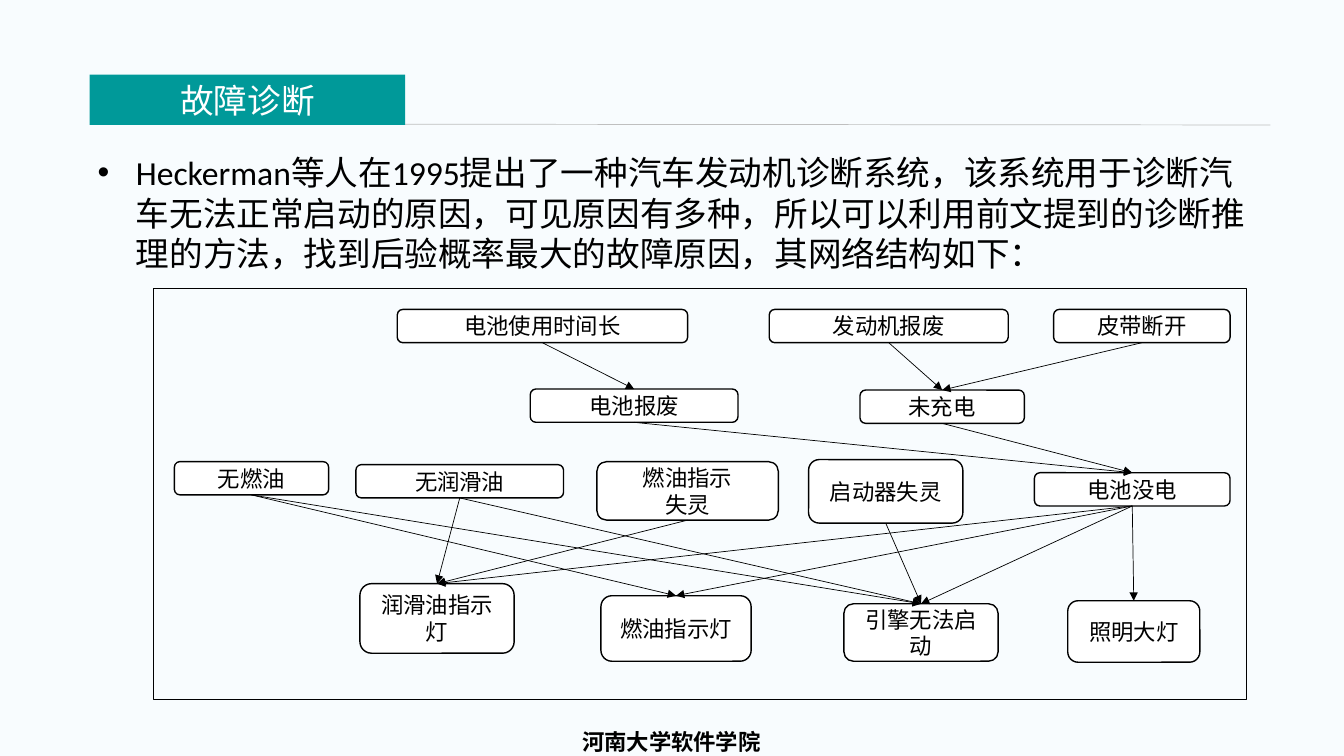
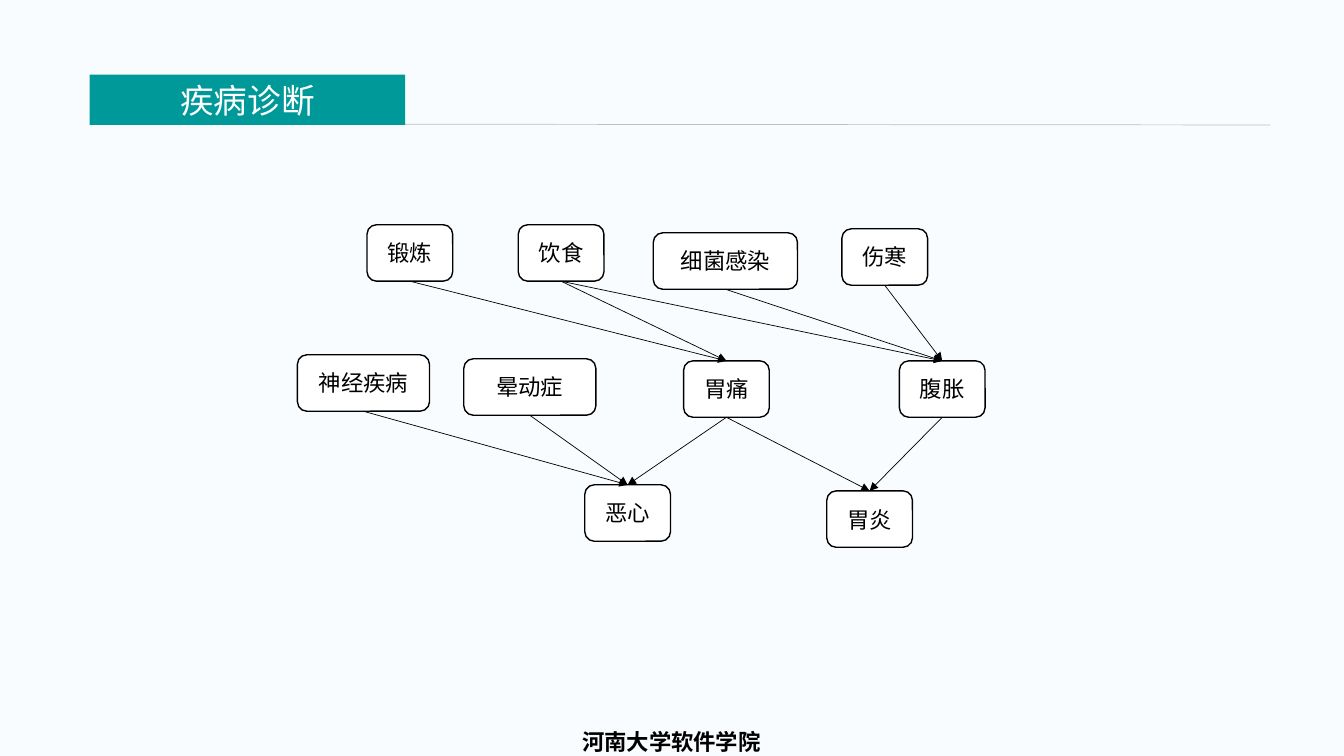
from dataclasses import dataclass

import pptx
import pptx.dml.color
import pptx.enum.shapes
import pptx.enum.text
import pptx.oxml.ns
import pptx.oxml.xmlchemy
import pptx.presentation
import pptx.shapes.autoshape
import pptx.slide
import pptx.text.text
import pptx.util

RGB = pptx.dml.color.RGBColor
FORM = pptx.enum.shapes.MSO_SHAPE
ALIGN = pptx.enum.text.PP_ALIGN
ANCHOR = pptx.enum.text.MSO_ANCHOR

PAPER = RGB(0xF8, 0xFC, 0xFE)
TEAL = RGB(0x00, 0x99, 0x99)
GREY = RGB(0xBF, 0xBF, 0xBF)
BLACK = RGB(0x00, 0x00, 0x00)
WHITE = RGB(0xFF, 0xFF, 0xFF)

HAN = "Noto Sans CJK SC"
PX = 9144
LEAD = 1.2


@dataclass(frozen=True)
class Style:
    size: int
    color: RGB = BLACK
    font: str = HAN
    bold: bool = False
    align: ALIGN = ALIGN.CENTER


@dataclass(frozen=True)
class Node:
    label: str
    left: int
    top: int
    width: int
    height: int


@dataclass(frozen=True)
class Page:
    title: str
    nodes: list[Node]
    links: dict[str, list[str]]
    body: str = ""


TITLE = Style(24, WHITE)
BODY = Style(24, font="Calibri", align=ALIGN.LEFT)
FOOT = Style(16, font="DejaVu Sans", bold=True)
LABEL = Style(16)

CAR = Page(
    "故障诊断",
    [
        Node("电池使用时间长", 394, 307, 288, 33),
        Node("发动机报废", 763, 307, 237, 33),
        Node("皮带断开", 1045, 307, 175, 33),
        Node("电池报废", 526, 386, 206, 33),
        Node("未充电", 853, 387, 163, 33),
        Node("无燃油", 173, 458, 153, 33),
        Node("无润滑油", 353, 461, 206, 33),
        Node("燃油指示\n失灵", 592, 458, 180, 58),
        Node("启动器失灵", 802, 456, 153, 63),
        Node("电池没电", 1026, 469, 194, 33),
        Node("润滑油指示灯", 357, 579, 153, 69),
        Node("燃油指示灯", 596, 591, 149, 65),
        Node("引擎无法启动", 837, 599, 153, 57),
        Node("照明大灯", 1059, 596, 131, 61),
    ],
    {
        "电池使用时间长": ["电池报废"],
        "发动机报废": ["未充电"],
        "皮带断开": ["未充电"],
        "电池报废": ["电池没电"],
        "未充电": ["电池没电"],
        "无燃油": ["燃油指示灯", "引擎无法启动"],
        "无润滑油": ["润滑油指示灯", "引擎无法启动"],
        "燃油指示\n失灵": ["润滑油指示灯"],
        "启动器失灵": ["引擎无法启动"],
        "电池没电": ["润滑油指示灯", "燃油指示灯", "引擎无法启动", "照明大灯"],
    },
    "Heckerman等人在1995提出了一种汽车发动机诊断系统，该系统用于诊断汽车无法正常启动的原因，"
    "可见原因有多种，所以可以利用前文提到的诊断推理的方法，找到后验概率最大的故障原因，其网络结构如下：",
)

ILLNESS = Page(
    "疾病诊断",
    [
        Node("锻炼", 364, 223, 85, 56),
        Node("饮食", 514, 223, 85, 56),
        Node("细菌感染", 648, 231, 143, 56),
        Node("伤寒", 835, 227, 85, 56),
        Node("神经疾病", 295, 352, 131, 56),
        Node("晕动症", 460, 356, 131, 56),
        Node("胃痛", 678, 358, 85, 56),
        Node("腹胀", 892, 358, 85, 56),
        Node("恶心", 580, 481, 85, 56),
        Node("胃炎", 820, 487, 85, 56),
    ],
    {
        "锻炼": ["胃痛"],
        "饮食": ["胃痛", "腹胀"],
        "细菌感染": ["腹胀"],
        "伤寒": ["腹胀"],
        "神经疾病": ["恶心"],
        "晕动症": ["恶心"],
        "胃痛": ["恶心", "胃炎"],
        "腹胀": ["胃炎"],
    },
)


def px(*sides: int) -> list[int]:
    return [side * PX for side in sides]


def add_tag(host: pptx.oxml.xmlchemy.BaseOxmlElement, tag: str, **attrs: str) -> None:
    item = host.makeelement(pptx.oxml.ns.qn(tag), attrs)
    host.append(item)


def write(frame: pptx.text.text.TextFrame, text: str, style: Style) -> None:
    frame.text = text
    frame.word_wrap = True
    for para in frame.paragraphs:
        para.alignment = style.align
        para.line_spacing = pptx.util.Pt(style.size * LEAD)
        for run in para.runs:
            run.font.size = pptx.util.Pt(style.size)
            run.font.name = style.font
            run.font.bold = style.bold
            run.font.color.rgb = style.color
            add_tag(run.font._element, "a:ea", typeface=HAN)


def add_text(slide: pptx.slide.Slide, box: tuple[int, ...], text: str,
             style: Style) -> pptx.text.text.TextFrame:
    frame = slide.shapes.add_textbox(*px(*box)).text_frame
    write(frame, text, style)
    return frame


def add_box(slide: pptx.slide.Slide, form: FORM, box: tuple[int, ...],
            fill: RGB | None, line: float) -> pptx.shapes.autoshape.Shape:
    shape = slide.shapes.add_shape(form, *px(*box))
    shape.shadow.inherit = False
    if fill is None:
        shape.fill.background()
    else:
        shape.fill.solid()
        shape.fill.fore_color.rgb = fill
    if line:
        shape.line.color.rgb = BLACK
        shape.line.width = pptx.util.Pt(line)
    else:
        shape.line.fill.background()
    return shape


def add_line(slide: pptx.slide.Slide, ends: tuple[int, ...],
             color: RGB) -> pptx.shapes.connector.Connector:
    kind = pptx.enum.shapes.MSO_CONNECTOR.STRAIGHT
    line = slide.shapes.add_connector(kind, *px(*ends))
    line.line.color.rgb = color
    line.line.width = pptx.util.Pt(0.5)
    add_tag(line._element.spPr, "a:effectLst")
    return line


def add_node(slide: pptx.slide.Slide, node: Node) -> pptx.shapes.autoshape.Shape:
    box = (node.left, node.top, node.width, node.height)
    shape = add_box(slide, FORM.ROUNDED_RECTANGLE, box, WHITE, 1)
    frame = shape.text_frame
    frame.margin_left = frame.margin_right = 13 * PX
    frame.margin_top = frame.margin_bottom = 7 * PX
    frame.vertical_anchor = ANCHOR.MIDDLE
    write(frame, node.label, LABEL)
    return shape


def add_graph(slide: pptx.slide.Slide, page: Page) -> None:
    shapes = {node.label: add_node(slide, node) for node in page.nodes}
    for cause, effects in page.links.items():
        for effect in effects:
            link = add_line(slide, (0, 0, 0, 0), BLACK)
            link.begin_connect(shapes[cause], 2)
            link.end_connect(shapes[effect], 0)
            add_tag(link.line._get_or_add_ln(), "a:tailEnd", type="triangle")


def add_body(slide: pptx.slide.Slide, text: str) -> None:
    frame = add_text(slide, (87, 146, 1173, 131), text, BODY)
    props = frame.paragraphs[0]._p.get_or_add_pPr()
    props.set("marL", str(38 * PX))
    props.set("indent", str(-38 * PX))
    add_tag(props, "a:buFont", typeface="Arial")
    add_tag(props, "a:buChar", char="•")


def add_page(deck: pptx.presentation.Presentation, page: Page) -> None:
    slide = deck.slides.add_slide(deck.slide_layouts[6])
    add_text(slide, (493, 717, 346, 33), "河南大学软件学院", FOOT)
    add_line(slide, (109, 123, 1260, 124), GREY)
    band = add_box(slide, FORM.RECTANGLE, (89, 74, 313, 50), TEAL, 0)
    band.text_frame.vertical_anchor = ANCHOR.MIDDLE
    write(band.text_frame, page.title, TITLE)
    if page.body:
        add_body(slide, page.body)
        add_box(slide, FORM.RECTANGLE, (152, 286, 1084, 408), None, 0.75)
    add_graph(slide, page)


def main() -> None:
    deck = pptx.Presentation()
    deck.slide_width, deck.slide_height = px(1333, 750)
    back = deck.slide_master.background.fill
    back.solid()
    back.fore_color.rgb = PAPER
    for page in (CAR, ILLNESS):
        add_page(deck, page)
    deck.save("out.pptx")


if __name__ == "__main__":
    main()
